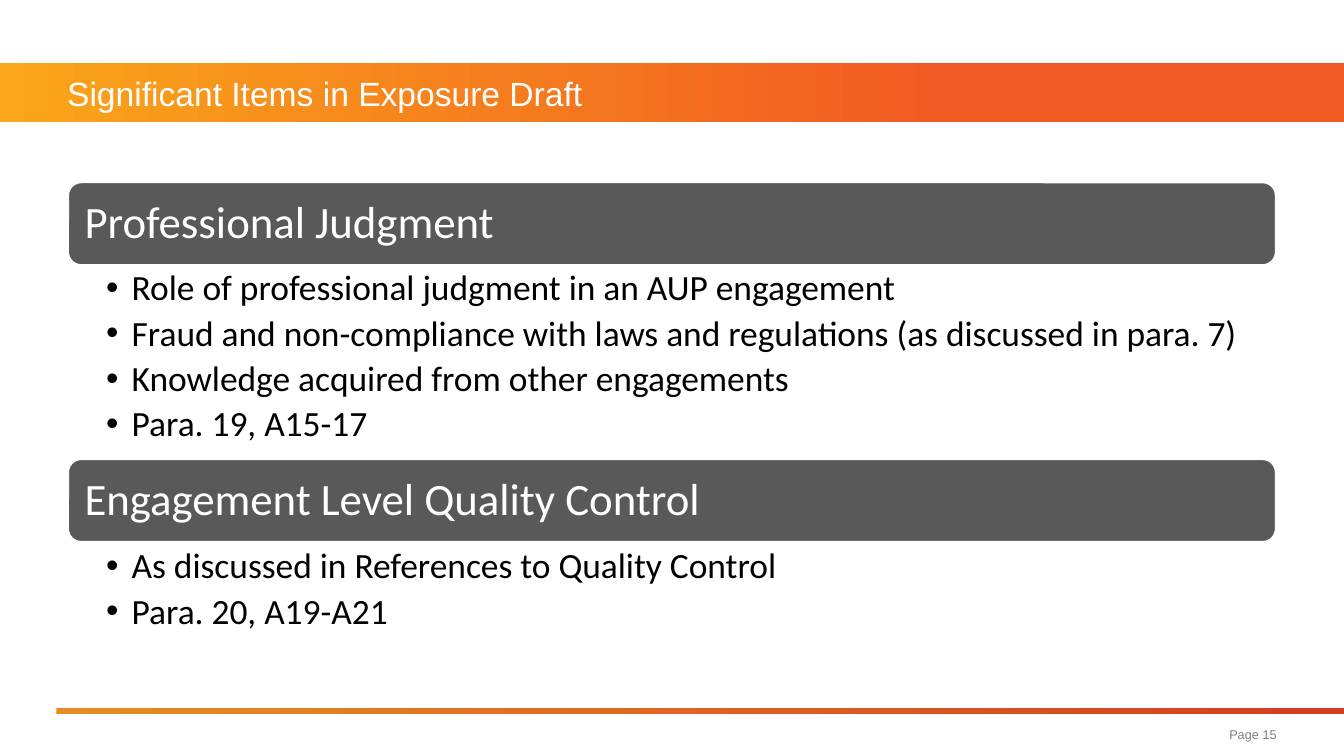
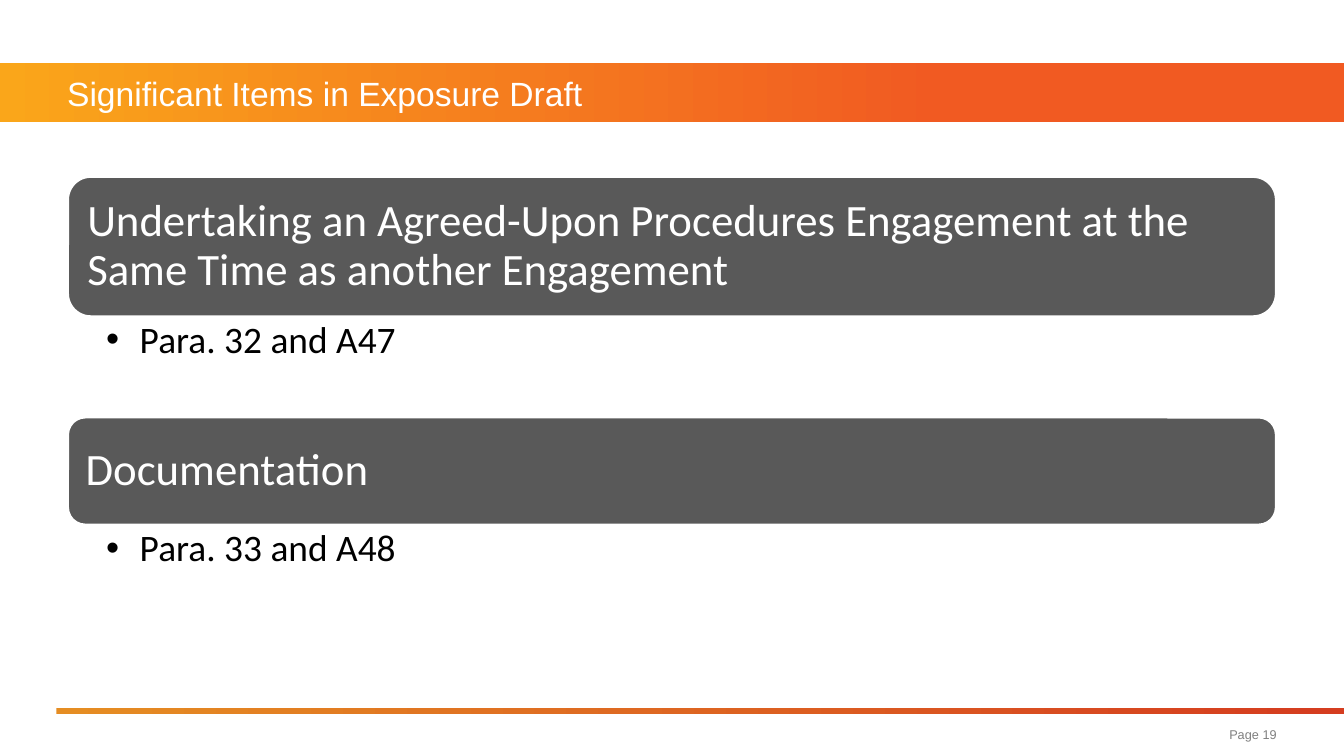
from dataclasses import dataclass

from lxml.etree import SubElement
from pptx import Presentation
from pptx.dml.color import RGBColor
from pptx.enum.shapes import MSO_SHAPE
from pptx.enum.text import MSO_ANCHOR, PP_ALIGN
from pptx.oxml.ns import qn
from pptx.util import Inches, Pt

WHITE, BLACK, GREY, DARK = "FFFFFF", "000000", "808080", "595959"
TITLE = "Significant Items in Exposure Draft"
LEFT, WIDTH = 0.5, 9


@dataclass(frozen=True)
class Style:
    size: float
    font: str
    color: str
    align: PP_ALIGN = PP_ALIGN.LEFT
    line: float = 1.0
    after: float = 0
    hang: float = 0


@dataclass(frozen=True)
class Topic:
    head: str
    top: float
    height: float
    body: float
    depth: float
    points: tuple[str, ...]


@dataclass(frozen=True)
class Page:
    number: int
    size: float
    hang: float
    right: float
    topics: tuple[Topic, ...]


TITLE_STYLE = Style(18, "Arial", WHITE)
FOOT_STYLE = Style(6.8, "Arial", GREY, PP_ALIGN.RIGHT)
HEAD_STYLE = Style(24, "Calibri", WHITE, line=0.9)

PAGES = (
    Page(15, 19, 0.19, 0.19, (
        Topic("Professional Judgment", 1.35, 0.63, 1.98, 1.44, (
            "Role of professional judgment in an AUP engagement",
            "Fraud and non-compliance with laws and regulations (as discussed in para. 7)",
            "Knowledge acquired from other engagements",
            "Para. 19, A15-17",
        )),
        Topic("Engagement Level Quality Control", 3.41, 0.63, 4.05, 0.72, (
            "As discussed in References to Quality Control",
            "Para. 20, A19-A21",
        )),
    )),
    Page(19, 20, 0.25, 0.16, (
        Topic("Undertaking an Agreed-Upon Procedures Engagement at the "
              "Same Time as another Engagement",
              1.31, 1.05, 2.36, 0.74, ("Para. 32 and A47",)),
        Topic("Documentation", 3.1, 0.81, 3.91, 0.74, ("Para. 33 and A48",)),
    )),
)


def rgb(code: str) -> RGBColor:
    return RGBColor.from_string(code)


def assign(item, values: dict) -> None:
    for name, value in values.items():
        setattr(item, name, value)


def bullet(para, hang: float) -> None:
    props = para._p.get_or_add_pPr()
    props.set("marL", str(Inches(hang)))
    props.set("indent", str(-Inches(hang)))
    SubElement(props, qn("a:buFont")).set("typeface", "Arial")
    SubElement(props, qn("a:buChar")).set("char", "•")


def write(shape, lines: tuple[str, ...], style: Style, inset: tuple = (0, 0, 0, 0),
          anchor: MSO_ANCHOR = MSO_ANCHOR.MIDDLE) -> None:
    frame = shape.text_frame
    sides = ("margin_left", "margin_top", "margin_right", "margin_bottom")
    assign(frame, {side: Inches(gap) for side, gap in zip(sides, inset)})
    assign(frame, {"word_wrap": True, "vertical_anchor": anchor})
    for i, line in enumerate(lines):
        para = frame.add_paragraph() if i else frame.paragraphs[0]
        if style.hang:
            bullet(para, style.hang)
        assign(para, {"alignment": style.align, "line_spacing": style.line,
                      "space_after": Pt(style.after)})
        run = para.add_run()
        run.text = line
        assign(run.font, {"size": Pt(style.size), "name": style.font})
        run.font.color.rgb = rgb(style.color)


def add_box(slide, *box: float):
    return slide.shapes.add_textbox(*map(Inches, box))


def add_band(slide, box: tuple, start: str, end: str, stop: float) -> None:
    band = slide.shapes.add_shape(MSO_SHAPE.RECTANGLE, *map(Inches, box))
    band.shadow.inherit = False
    band.line.fill.background()
    band.fill.gradient()
    band.fill.gradient_angle = 0
    stops = zip(band.fill.gradient_stops, (start, end), (0, stop))
    for mark, color, place in stops:
        mark.color.rgb = rgb(color)
        mark.position = place


def add_frame(slide, number: int) -> None:
    # Title band, footer rule and page number
    add_band(slide, (0, 0.47, 10, 0.44), "FAA61A", "F15A22", 0.7)
    add_band(slide, (0.42, 5.27, 9.58, 0.04), "E58D23", "D53D20", 0.99)
    write(add_box(slide, LEFT, 0.47, WIDTH, 0.44), (TITLE,), TITLE_STYLE)
    write(add_box(slide, 6.48, 5.34, 3.02, 0.25), (f"Page {number}",), FOOT_STYLE)


def add_topic(slide, topic: Topic, page: Page) -> None:
    # Heading bar
    bar = slide.shapes.add_shape(
        MSO_SHAPE.ROUNDED_RECTANGLE,
        *map(Inches, (LEFT, topic.top, WIDTH, topic.height)))
    bar.shadow.inherit = False
    bar.fill.solid()
    bar.fill.fore_color.rgb = rgb(DARK)
    bar.line.color.rgb = rgb(WHITE)
    bar.line.width = Pt(2)
    write(bar, (topic.head,), HEAD_STYLE, (0.1,) * 4)
    # Bullet list
    style = Style(page.size, "Calibri", BLACK, line=0.9,
                  after=page.size * 0.2, hang=page.hang)
    write(add_box(slide, LEFT, topic.body, WIDTH, topic.depth), topic.points,
          style, (0.29, 0.03, page.right, 0.03), MSO_ANCHOR.TOP)


def main() -> None:
    deck = Presentation()
    # Widescreen, 16 to 9
    wide = Inches(10)
    assign(deck, {"slide_width": wide, "slide_height": wide * 9 // 16})
    for page in PAGES:
        slide = deck.slides.add_slide(deck.slide_layouts[6])
        add_frame(slide, page.number)
        for topic in page.topics:
            add_topic(slide, topic, page)
    deck.save("out.pptx")


if __name__ == "__main__":
    main()
